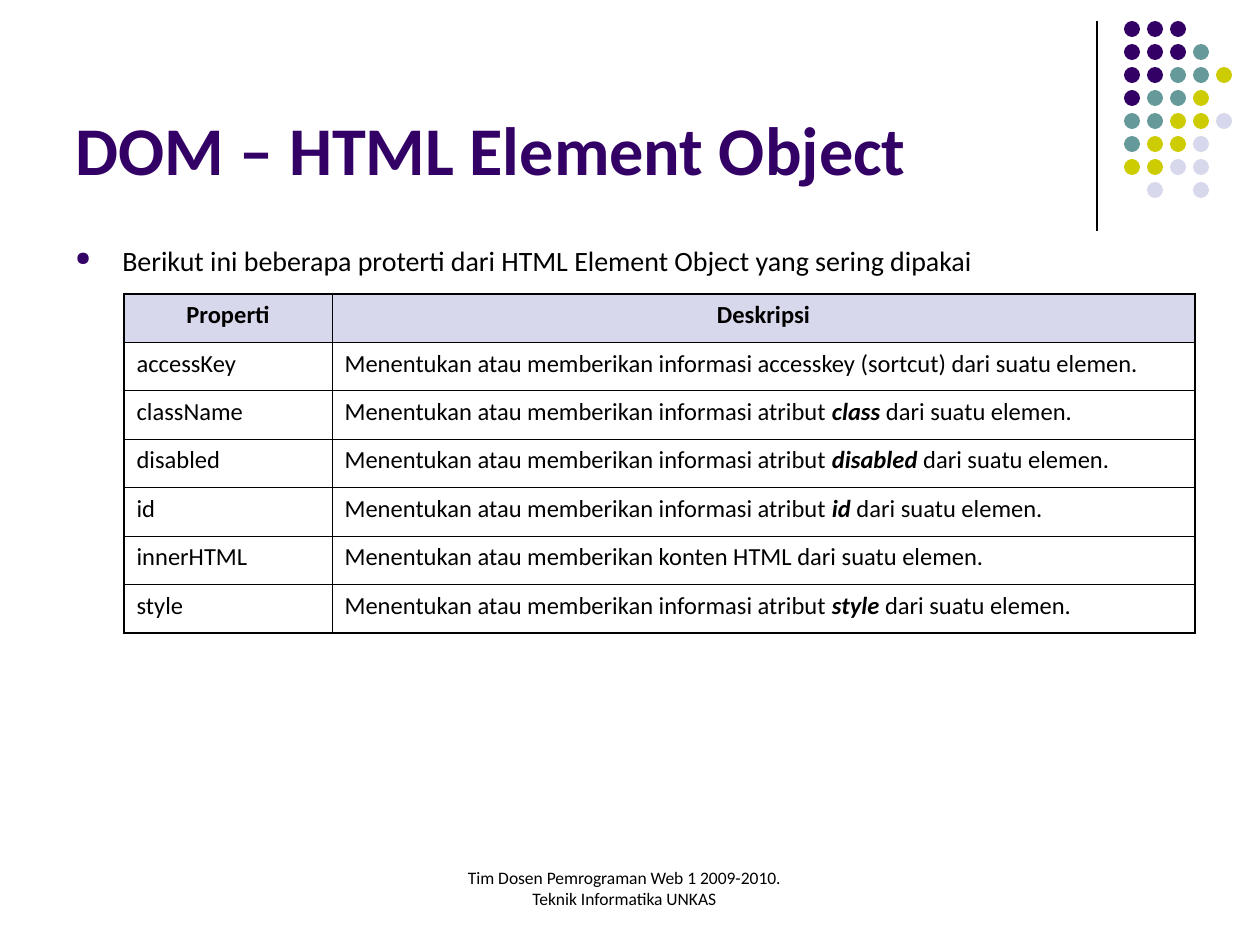
import pptx
import pptx.dml.color
import pptx.enum.shapes
import pptx.enum.text
import pptx.oxml.ns
import pptx.util
from lxml import etree

RGBColor = pptx.dml.color.RGBColor
ALIGN = pptx.enum.text.PP_ALIGN
ANCHOR = pptx.enum.text.MSO_ANCHOR
qn = pptx.oxml.ns.qn

PX = pptx.util.Inches(1) / 126
BLACK = RGBColor(0x00, 0x00, 0x00)
PURPLE = RGBColor(0x33, 0x00, 0x66)
TEAL = RGBColor(0x66, 0x99, 0x99)
YELLOW = RGBColor(0xCC, 0xCC, 0x00)
LAVENDER = RGBColor(0xD8, 0xD8, 0xEC)

TITLE = {"name": "Calibri", "size": pptx.util.Pt(39), "bold": True}
BODY = {"name": "Calibri", "size": pptx.util.Pt(16)}
CELL = {"name": "Calibri", "size": pptx.util.Pt(14), "bold": False}
HEADER = {**CELL, "bold": True}
EMPHASIS = {**HEADER, "italic": True}
FOOTER = {"name": "Calibri", "size": pptx.util.Pt(10)}

DOT_COLORS = {"P": PURPLE, "T": TEAL, "Y": YELLOW, "L": LAVENDER}
DOT_ROWS = ["PPP", "PPPT", "PPTTY", "PTTY", "TTYYL", "TYYL", "YYLL", ".L.L"]

INFO = "Menentukan atau memberikan informasi "
ATTRIBUTE = INFO + "atribut "
END = "dari suatu elemen."
# Every second piece of a description is emphasised.
PROPERTIES = [
    ("accessKey", [INFO + "accesskey (sortcut) " + END]),
    ("className", [ATTRIBUTE, "class ", END]),
    ("disabled", [ATTRIBUTE, "disabled ", END]),
    ("id", [ATTRIBUTE, "id", " " + END]),
    ("innerHTML", ["Menentukan atau memberikan konten HTML " + END]),
    ("style", [ATTRIBUTE, "style ", END]),
]


def px(length):
    return pptx.util.Emu(round(length * PX))


def add_run(paragraph, text, font_format, color=BLACK):
    run = paragraph.add_run()
    run.text = text
    for name, value in font_format.items():
        setattr(run.font, name, value)
    run.font.color.rgb = color


def add_text(slide, box, text, font_format, color=BLACK, frame_format=None):
    """Add a wrapped text box and return its only paragraph."""
    frame = slide.shapes.add_textbox(*map(px, box)).text_frame
    for name, value in {"word_wrap": True, **(frame_format or {})}.items():
        setattr(frame, name, value)
    paragraph = frame.paragraphs[0]
    for index, line in enumerate(text.split("\n")):
        if index:
            paragraph.add_line_break()
        add_run(paragraph, line, font_format, color)
    return paragraph


def add_dot_pattern(slide, box, pitch=23, dot=16):
    """Draw the divider on the left edge of the box and the dots beside it."""
    left, top, _, height = box
    divider = slide.shapes.add_connector(
        pptx.enum.shapes.MSO_CONNECTOR.STRAIGHT,
        px(left), px(top), px(left), px(top + height))
    divider.line.color.rgb = BLACK
    divider.line.width = pptx.util.Pt(0.75)
    etree.SubElement(divider._element.spPr, qn("a:effectLst"))
    dots = slide.shapes.add_group_shape()
    for row, codes in enumerate(DOT_ROWS):
        for column, code in enumerate(codes):
            if code not in DOT_COLORS:
                continue
            shape = dots.shapes.add_shape(
                pptx.enum.shapes.MSO_SHAPE.OVAL,
                px(left + 27 + column * pitch), px(top + row * pitch),
                px(dot), px(dot))
            shape.shadow.inherit = False
            shape.fill.solid()
            shape.fill.fore_color.rgb = DOT_COLORS[code]
            shape.line.fill.background()


def add_bullet_text(slide, box, text):
    paragraph = add_text(slide, box, text, BODY)
    paragraph.space_before = pptx.util.Pt(4)
    properties = paragraph._p.get_or_add_pPr()
    indent = px(47)
    properties.set("marL", str(indent))
    properties.set("indent", str(-indent))
    color = etree.SubElement(properties, qn("a:buClr"))
    etree.SubElement(color, qn("a:srgbClr"), val=str(PURPLE))
    etree.SubElement(properties, qn("a:buSzPct"), val="70000")
    etree.SubElement(properties, qn("a:buChar"), char="●")


def set_borders(cell, outer_sides):
    properties = cell._tc.get_or_add_tcPr()
    for side in "LRTB":
        width = pptx.util.Pt(1.08 if side in outer_sides else 0.45)
        line = etree.SubElement(properties, qn("a:ln" + side), w=str(width))
        fill = etree.SubElement(line, qn("a:solidFill"))
        etree.SubElement(fill, qn("a:srgbClr"), val=str(BLACK))


def add_property_table(slide, box, first_width):
    rows = [("Properti", ["Deskripsi"])] + PROPERTIES
    last = len(rows) - 1
    table = slide.shapes.add_table(len(rows), 2, *map(px, box)).table
    table.columns[0].width = px(first_width)
    table.columns[1].width = px(box[2] - first_width)
    for row, (name, description) in enumerate(rows):
        table.rows[row].height = px(box[3] / len(rows))
        vertical = {0: "T", last: "B"}.get(row, "")
        for column, pieces in enumerate(([name], description)):
            cell = table.cell(row, column)
            set_borders(cell, "LR"[column] + vertical)
            paragraph = cell.text_frame.paragraphs[0]
            paragraph.space_before = pptx.util.Pt(3.5)
            if row == 0:
                cell.fill.solid()
                cell.fill.fore_color.rgb = LAVENDER
                paragraph.alignment = ALIGN.CENTER
            else:
                cell.fill.background()
            plain = HEADER if row == 0 else CELL
            for index, piece in enumerate(pieces):
                add_run(paragraph, piece, EMPHASIS if index % 2 else plain)


def main():
    presentation = pptx.Presentation()
    presentation.slide_width = px(1260)
    presentation.slide_height = px(945)
    slide = presentation.slides.add_slide(presentation.slide_layouts[6])
    add_dot_pattern(slide, (1097, 21, 135, 210))
    footer = add_text(
        slide, (431, 861, 399, 63),
        "Tim Dosen Pemrograman Web 1 2009-2010.\nTeknik Informatika UNKAS",
        FOOTER, frame_format={"margin_right": px(25)})
    footer.alignment = ALIGN.CENTER
    add_text(slide, (63, 16, 1040, 179), "DOM – HTML Element Object", TITLE,
             PURPLE, {"vertical_anchor": ANCHOR.BOTTOM})
    add_bullet_text(
        slide, (63, 237, 1123, 47),
        "Berikut ini beberapa proterti dari HTML Element Object "
        "yang sering dipakai")
    add_property_table(slide, (124, 294, 1071, 339), 208)
    presentation.save("out.pptx")


if __name__ == "__main__":
    main()
